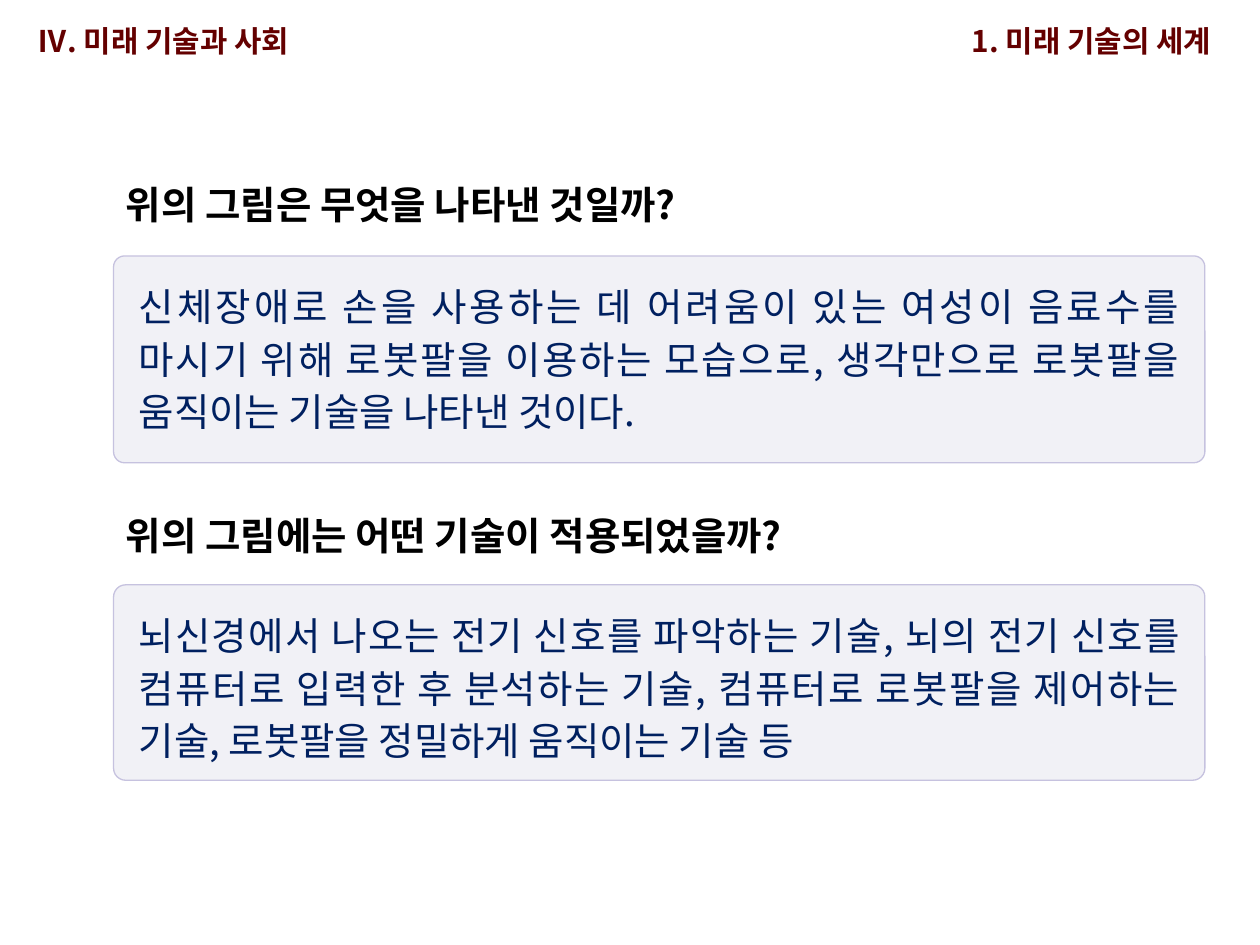
from lxml import etree
from pptx import Presentation
from pptx.dml.color import RGBColor
from pptx.enum.shapes import MSO_SHAPE
from pptx.enum.text import MSO_AUTO_SIZE, PP_ALIGN
from pptx.oxml.ns import qn
from pptx.util import Cm, Pt

ROUNDED = MSO_SHAPE.ROUNDED_RECTANGLE
GROW, FIXED = MSO_AUTO_SIZE.SHAPE_TO_FIT_TEXT, MSO_AUTO_SIZE.NONE
LEFT, RIGHT, JUSTIFY = PP_ALIGN.LEFT, PP_ALIGN.RIGHT, PP_ALIGN.JUSTIFY

FONT = "Noto Sans CJK KR"
MAROON = RGBColor(0x64, 0x00, 0x00)
BLACK = RGBColor(0x00, 0x00, 0x00)
NAVY = RGBColor(0x00, 0x20, 0x60)
PANEL_FILL = RGBColor(0xF1, 0xF1, 0xF6)
PANEL_LINE = RGBColor(0xC6, 0xC2, 0xDF)

COLUMN_LEFT, COLUMN_WIDTH = Cm(2.29), Cm(22)
HEADER_FONT = {"size": Pt(17), "bold": True}
QUESTION_FONT = {"size": Pt(22), "bold": True}
ANSWER_FONT = {"size": Pt(22), "bold": False}
HEADER_PARA = {"alignment": LEFT}
QUESTION_PARA = {"alignment": JUSTIFY, "line_spacing": Pt(26), "space_after": Pt(18)}
ANSWER_PARA = {**QUESTION_PARA, "line_spacing": Pt(30)}
HEADER_FRAME = {"word_wrap": False, "auto_size": GROW}
QUESTION_FRAME = {"word_wrap": True, "auto_size": GROW}
ANSWER_FRAME = {**QUESTION_FRAME, "margin_left": Cm(0.51), "margin_right": Cm(0.51)}

EXERCISES = [
    (Cm(3.53), Cm(5.16), Cm(4.17), 0.053,
     "위의 그림은 무엇을 나타낸 것일까?",
     "신체장애로 손을 사용하는 데 어려움이 있는 여성이 음료수를 마시기 위해 "
     "로봇팔을 이용하는 모습으로, 생각만으로 로봇팔을 움직이는 기술을 나타낸 것이다."),
    (Cm(10.21), Cm(11.79), Cm(3.94), 0.062,
     "위의 그림에는 어떤 기술이 적용되었을까?",
     "뇌신경에서 나오는 전기 신호를 파악하는 기술, 뇌의 전기 신호를 컴퓨터로 "
     "입력한 후 분석하는 기술, 컴퓨터로 로봇팔을 제어하는 기술, "
     "로봇팔을 정밀하게 움직이는 기술 등 "),
]


def apply_format(target, values):
    for name, value in values.items():
        setattr(target, name, value)


def add_text(page, place, text, color, font, para_format, frame_format):
    box = page.shapes.add_textbox(*place)
    apply_format(box.text_frame, frame_format)
    para = box.text_frame.paragraphs[0]
    apply_format(para, para_format)
    span = para.add_run()
    span.text = text
    apply_format(span.font, {"name": FONT, **font})
    span.font.color.rgb = color
    east_asian = etree.Element(qn("a:ea"), typeface=FONT)
    span.font._element.find(qn("a:latin")).addnext(east_asian)


def add_panel(page, top, height, rounding):
    panel = page.shapes.add_shape(ROUNDED, COLUMN_LEFT, top, COLUMN_WIDTH, height)
    panel.adjustments[0] = rounding
    panel.shadow.inherit = False
    panel.fill.solid()
    panel.fill.fore_color.rgb = PANEL_FILL
    panel.line.color.rgb = PANEL_LINE
    panel.line.width = Pt(0.75)


def add_exercise(page, question_top, panel_top, panel_height, rounding, question, answer):
    add_panel(page, panel_top, panel_height, rounding)
    add_text(page, (COLUMN_LEFT, question_top, COLUMN_WIDTH, Cm(1.19)),
             question, BLACK, QUESTION_FONT, QUESTION_PARA, QUESTION_FRAME)
    add_text(page, (COLUMN_LEFT, panel_top + Cm(0.3), COLUMN_WIDTH, Cm(3.45)),
             answer, NAVY, ANSWER_FONT, ANSWER_PARA, ANSWER_FRAME)


def main():
    deck = Presentation()
    deck.slide_width, deck.slide_height = Cm(25.4), Cm(19.05)
    page = deck.slides.add_slide(deck.slide_layouts[6])
    add_text(page, (Cm(0.51), Cm(0.33), Cm(5.94), Cm(0.99)), "Ⅳ. 미래 기술과 사회",
             MAROON, HEADER_FONT, HEADER_PARA, HEADER_FRAME)
    add_text(page, (Cm(12.29), Cm(0.33), Cm(12.52), Cm(1.02)), "1. 미래 기술의 세계 ",
             MAROON, HEADER_FONT, {"alignment": RIGHT}, {**HEADER_FRAME, "auto_size": FIXED})
    for exercise in EXERCISES:
        add_exercise(page, *exercise)
    deck.save("out.pptx")


if __name__ == "__main__":
    main()
